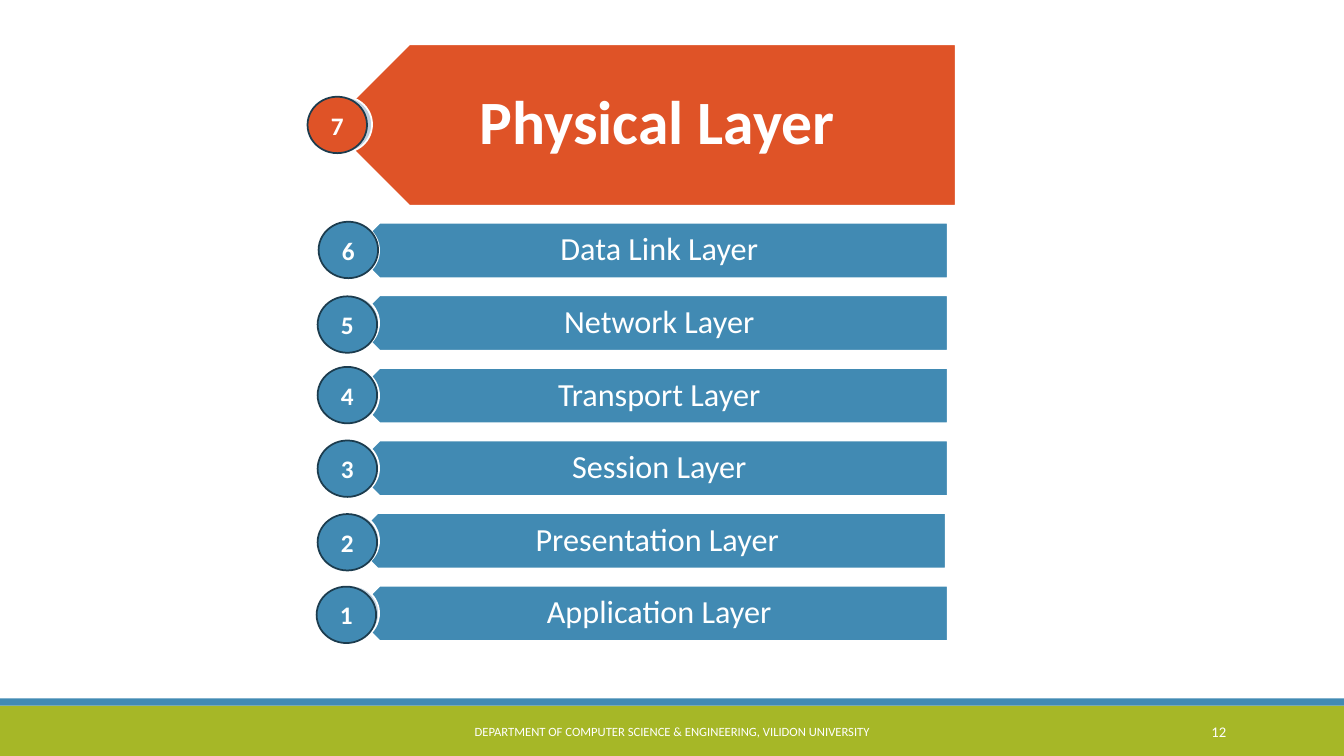
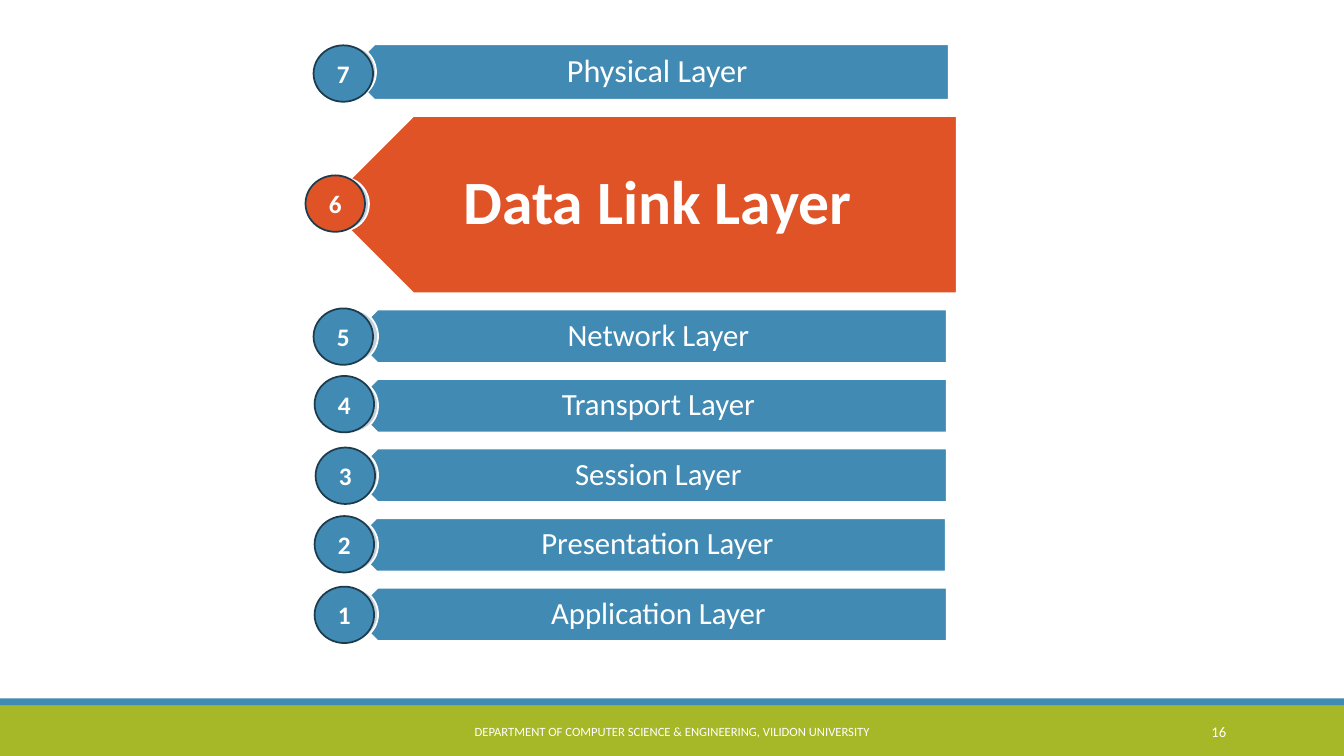
from dataclasses import dataclass

from pptx import Presentation
from pptx.dml.color import RGBColor
from pptx.enum.shapes import MSO_SHAPE as SHAPE
from pptx.enum.text import MSO_ANCHOR as ANCHOR, PP_ALIGN as ALIGN
from pptx.util import Emu, Pt

# Scale: 100 px to the inch
EMU_PER_PX = 9144
SLIDE_W, SLIDE_H = 1333, 750

# Shared look
WHITE = RGBColor(0xFF, 0xFF, 0xFF)
BLUE = RGBColor(0x41, 0x8A, 0xB3)
ORANGE = RGBColor(0xDF, 0x53, 0x27)
GREEN = RGBColor(0xA6, 0xB7, 0x27)
HALO = RGBColor(0xC0, 0xCF, 0xDD)
NAVY = RGBColor(0x1C, 0x3C, 0x4E)
FONT = "Calibri"
LINE_PT = 1.25
FOOTER = "DEPARTMENT OF COMPUTER SCIENCE & ENGINEERING, VILIDON UNIVERSITY"

# Layer stack
LAYERS = ("Physical", "Data Link", "Network", "Transport",
          "Session", "Presentation", "Application")
STACK_TOP = 44
BADGE_W, BADGE_H = 59, 56
PLAIN_INSETS = (24, 10, 18, 10)
ACTIVE_INSETS = (24, 18, 34, 18)
DEFAULT_INSETS = (10, 5, 10, 5)


@dataclass(frozen=True)
class Box:
    x: int
    y: int
    w: int
    h: int

    def emu(self) -> tuple[Emu, ...]:
        return tuple(px(v) for v in (self.x, self.y, self.w, self.h))


@dataclass(frozen=True)
class Bar:
    x: int
    w: int
    h: int
    halo_x: int
    badge_x: int
    badge_y: int
    size: int = 23
    active: bool = False


@dataclass(frozen=True)
class Stack:
    page: int
    gap: int
    halo: int
    bars: tuple[Bar, ...]


STACKS = (
    Stack(12, 17, 55, (
        Bar(326, 622, 160, 314, 305, 96, 44, active=True),
        Bar(349, 591, 55, 321, 316, 220),
        Bar(349, 591, 55, 321, 315, 294),
        Bar(349, 591, 55, 321, 315, 364),
        Bar(349, 591, 55, 321, 315, 437),
        Bar(347, 591, 55, 321, 315, 510),
        Bar(349, 591, 55, 321, 314, 582),
    )),
    Stack(16, 16, 53, (
        Bar(344, 597, 55, 320, 311, 45),
        Bar(322, 627, 176, 313, 303, 174, 44, active=True),
        Bar(348, 591, 53, 322, 311, 306, 22),
        Bar(348, 591, 53, 322, 312, 373, 22),
        Bar(348, 591, 53, 322, 313, 444, 22),
        Bar(347, 591, 53, 322, 312, 512, 22),
        Bar(348, 591, 53, 322, 312, 582, 22),
    )),
)


def px(value: int) -> Emu:
    return Emu(value * EMU_PER_PX)


def set_all(target, values: dict) -> None:
    for name, value in values.items():
        setattr(target, name, value)


def write(sp, text: str, size: float, bold: bool = False,
          align=ALIGN.CENTER, insets: tuple = DEFAULT_INSETS,
          spacing: float = 1.0) -> None:
    tf = sp.text_frame
    left, top, right, bottom = (px(v) for v in insets)
    set_all(tf, {"word_wrap": True, "vertical_anchor": ANCHOR.MIDDLE,
                 "margin_left": left, "margin_top": top,
                 "margin_right": right, "margin_bottom": bottom})
    p = tf.paragraphs[0]
    set_all(p, {"alignment": align, "line_spacing": spacing})
    r = p.add_run()
    r.text = text
    set_all(r.font, {"name": FONT, "size": Pt(size), "bold": bold})
    r.font.color.rgb = WHITE


def add_shape(s, kind, box: Box, fill: RGBColor, line: RGBColor | None = None):
    sp = s.shapes.add_shape(kind, *box.emu())
    sp.shadow.inherit = False
    sp.fill.solid()
    sp.fill.fore_color.rgb = fill
    if line is None:
        sp.line.fill.background()
    else:
        sp.line.color.rgb = line
        sp.line.width = Pt(LINE_PT)
    return sp


def add_text(s, box: Box, text: str, size: float, **style) -> None:
    write(s.shapes.add_textbox(*box.emu()), text, size, **style)


def add_footer(s, page: int) -> None:
    add_shape(s, SHAPE.RECTANGLE, Box(0, 700, SLIDE_W, 50), GREEN)
    add_shape(s, SHAPE.RECTANGLE, Box(0, 693, SLIDE_W, 7), BLUE)
    add_text(s, Box(403, 706, 527, 40), FOOTER, 9)
    add_text(s, Box(1083, 706, 143, 40), str(page), 10.5, align=ALIGN.RIGHT)


def add_bar(s, bar: Bar, y: int, name: str, halo: int) -> None:
    color = ORANGE if bar.active else BLUE
    sp = add_shape(s, SHAPE.PENTAGON, Box(bar.x, y, bar.w, bar.h), color, WHITE)
    sp.rotation = 180
    # The label starts halfway along the arrow point
    indent = bar.h // 4
    add_text(s, Box(bar.x + indent, y, bar.w - indent, bar.h),
             f"{name} Layer", bar.size, bold=bar.active, spacing=0.9,
             insets=ACTIVE_INSETS if bar.active else PLAIN_INSETS)
    add_shape(s, SHAPE.OVAL,
              Box(bar.halo_x, y + (bar.h - halo) // 2, halo, halo), HALO, WHITE)


def add_badge(s, bar: Bar, number: int) -> None:
    sp = add_shape(s, SHAPE.FLOWCHART_CONNECTOR,
                   Box(bar.badge_x, bar.badge_y, BADGE_W, BADGE_H),
                   ORANGE if bar.active else BLUE, NAVY)
    write(sp, str(number), 18, bold=True)


def add_stack(s, stack: Stack) -> None:
    y = STACK_TOP
    for name, bar in zip(LAYERS, stack.bars):
        add_bar(s, bar, y, name, stack.halo)
        y += bar.h + stack.gap
    for i, bar in enumerate(stack.bars):
        add_badge(s, bar, len(LAYERS) - i)


def main() -> None:
    prs = Presentation()
    set_all(prs, {"slide_width": px(SLIDE_W), "slide_height": px(SLIDE_H)})
    for stack in STACKS:
        s = prs.slides.add_slide(prs.slide_layouts[6])
        add_footer(s, stack.page)
        add_stack(s, stack)
    prs.save("out.pptx")


if __name__ == "__main__":
    main()
